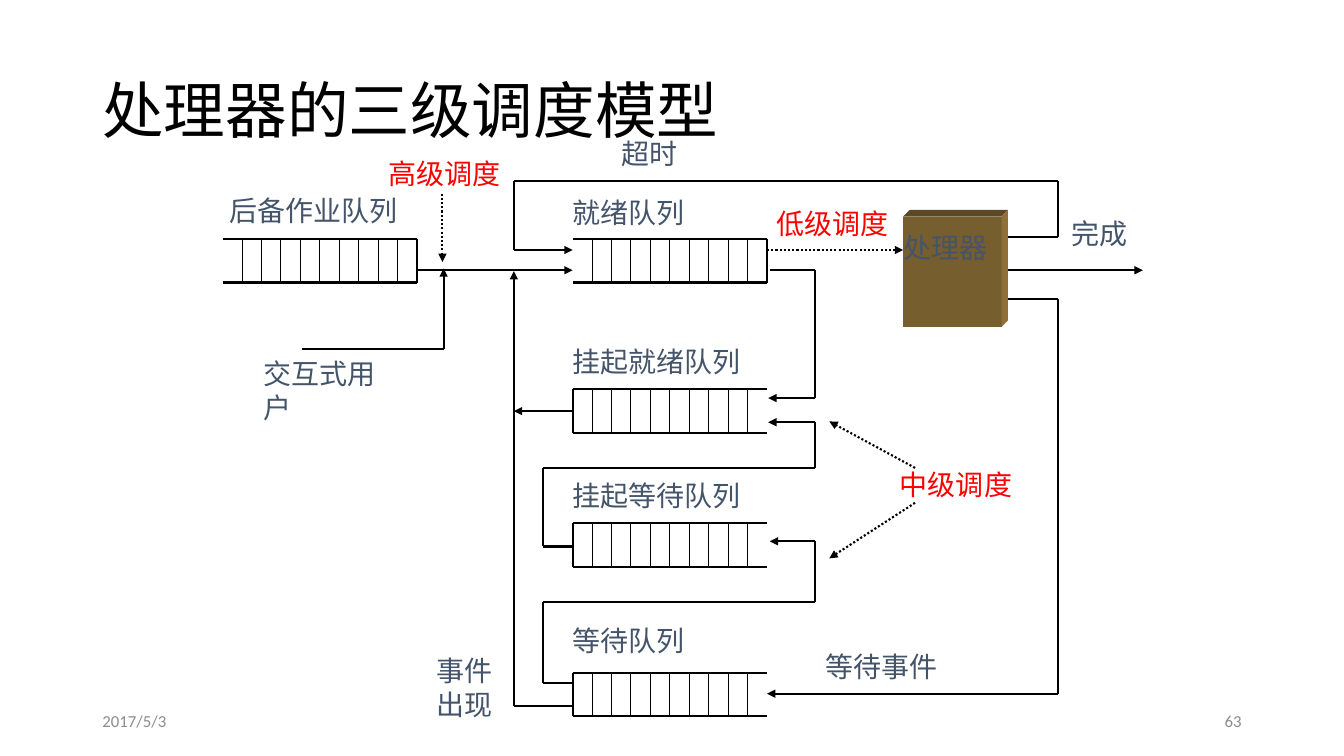
from dataclasses import dataclass
from itertools import pairwise

from lxml.etree import SubElement
from pptx import Presentation
from pptx.dml.color import RGBColor
from pptx.enum.dml import MSO_LINE_DASH_STYLE as Dash
from pptx.enum.shapes import MSO_CONNECTOR_TYPE as Connector
from pptx.enum.text import MSO_VERTICAL_ANCHOR as Anchor, PP_PARAGRAPH_ALIGNMENT as Align
from pptx.oxml.ns import qn
from pptx.slide import Slide
from pptx.util import Cm, Pt

BLACK = RGBColor(0x00, 0x00, 0x00)
RED = RGBColor(0xFF, 0x00, 0x00)
SLATE = RGBColor(0x44, 0x54, 0x6A)
GREY = RGBColor(0x8C, 0x8C, 0x8C)
FRONT_BROWN = RGBColor(0x77, 0x5E, 0x2F)
TOP_BROWN = RGBColor(0x5C, 0x48, 0x22)
SIDE_BROWN = RGBColor(0x8F, 0x70, 0x38)
CJK_FONT = "Noto Sans CJK JP"
LATIN_FONT = "Calibri"

CELL_WIDTH, CELL_COUNT, QUEUE_HEIGHT = 0.49, 10, 1.1
QUEUE_WIDTH = CELL_WIDTH * CELL_COUNT
QUEUE_LEFT, QUEUE_RIGHT = 14.43, 19.33
RETURN_X, LOOP_X, SUSPEND_X = 12.95, 13.69, 20.55
CPU_RIGHT, OUTER_X, MAIN_Y = 25.4, 26.67, 6.81

Point = tuple[float, float]


@dataclass(frozen=True)
class Label:
    lines: tuple[str, ...]
    left: float
    top: float
    width: float
    height: float = 1.1
    color: RGBColor = SLATE
    size: float = 20
    font: str = CJK_FONT
    inset: Point = (0, 0)
    anchor: Anchor = Anchor.TOP
    align: Align = Align.LEFT
    spacing: float = 1.0


@dataclass(frozen=True)
class Queue:
    left: float
    top: float
    closed_right: bool = False


@dataclass(frozen=True)
class Route:
    points: tuple[Point, ...]
    dotted: bool = False


@dataclass(frozen=True)
class Face:
    corners: tuple[Point, ...]
    color: RGBColor


QUEUES = (
    Queue(5.61, 6.02, closed_right=True),
    Queue(QUEUE_LEFT, 6.02, closed_right=True),
    Queue(QUEUE_LEFT, 9.8),
    Queue(QUEUE_LEFT, 13.18),
    Queue(QUEUE_LEFT, 16.95),
)

PROCESSOR_FACES = (
    Face(((22.76, 5.46), (25.24, 5.46), (25.24, 8.24), (22.76, 8.24)), FRONT_BROWN),
    Face(((22.76, 5.46), (22.93, 5.29), (25.4, 5.29), (25.24, 5.46)), TOP_BROWN),
    Face(((25.24, 5.46), (25.4, 5.29), (25.4, 8.08), (25.24, 8.24)), SIDE_BROWN),
)

ROUTES = (
    Route(((10.48, MAIN_Y), (QUEUE_LEFT, MAIN_Y))),
    Route(((7.6, 8.79), (11.18, 8.79), (11.18, 6.76))),
    Route(((CPU_RIGHT, 5.97), (OUTER_X, 5.97), (OUTER_X, 4.57),
           (RETURN_X, 4.57), (RETURN_X, 6.3), (QUEUE_LEFT, 6.3))),
    Route(((CPU_RIGHT, MAIN_Y), (28.8, MAIN_Y))),
    Route(((CPU_RIGHT, 7.54), (OUTER_X, 7.54), (OUTER_X, 17.48), (QUEUE_RIGHT, 17.48))),
    Route(((QUEUE_LEFT, 17.78), (RETURN_X, 17.78), (RETURN_X, 6.83))),
    Route(((QUEUE_LEFT, 10.36), (RETURN_X, 10.36))),
    Route(((19.4, MAIN_Y), (SUSPEND_X, MAIN_Y), (SUSPEND_X, 10.03), (19.36, 10.03))),
    Route(((QUEUE_LEFT, 13.77), (LOOP_X, 13.77), (LOOP_X, 11.79),
           (SUSPEND_X, 11.79), (SUSPEND_X, 10.64), (19.36, 10.64))),
    Route(((QUEUE_LEFT, 17.2), (LOOP_X, 17.2), (LOOP_X, 15.16),
           (SUSPEND_X, 15.16), (SUSPEND_X, 13.64), (19.4, 13.64))),
    Route(((QUEUE_RIGHT, 6.3), (22.76, 6.3)), dotted=True),
    Route(((11.15, 4.88), (11.15, 6.6)), dotted=True),
    Route(((23.06, 11.79), (20.9, 10.62)), dotted=True),
    Route(((23.06, 12.67), (20.9, 14.07)), dotted=True),
)

LABELS = (
    Label(("处理器的三级调度模型",), 2.33, 1.01, 29.21, 3.68, BLACK, 44, LATIN_FONT,
          (0.25, 0.13), Anchor.MIDDLE, spacing=0.9),
    Label(("2017/5/3",), 2.33, 17.66, 7.62, 1.01, GREY, 12, LATIN_FONT,
          (0.25, 0.13), Anchor.MIDDLE),
    Label(("63",), 23.92, 17.66, 7.62, 1.01, GREY, 12, LATIN_FONT,
          (0.25, 0.13), Anchor.MIDDLE, Align.RIGHT),
    Label(("后备作业队列",), 5.79, 4.88, 4.67),
    Label(("就绪队列",), QUEUE_LEFT, 4.93, QUEUE_WIDTH),
    Label(("挂起就绪队列",), QUEUE_LEFT, 8.69, QUEUE_WIDTH),
    Label(("挂起等待队列",), QUEUE_LEFT, 12.07, QUEUE_WIDTH),
    Label(("等待队列",), QUEUE_LEFT, 15.72, QUEUE_WIDTH),
    Label(("超时",), 15.67, 3.45, 8.23),
    Label(("完成",), 27, 5.46, 1.8),
    Label(("处理器",), 22.76, 5.82, 2.44),
    Label(("等待事件",), 20.8, 16.36, 4.42),
    Label(("交互式用户",), 6.65, 8.99, 3.43),
    Label(("事件", "出现"), 11, 16.48, 1.96, 2.21),
    Label(("高级调度",), 9.78, 3.94, 2.84, color=RED),
    Label(("中级调度",), 22.68, 11.79, 2.87, color=RED),
    Label(("低级调度",), 19.56, 5.21, 3, color=RED),
)


def draw_line(slide: Slide, start: Point, end: Point, weight: float = 1.5,
              dotted: bool = False, arrow: bool = False) -> None:
    ends = (Cm(value) for value in (*start, *end))
    connector = slide.shapes.add_connector(Connector.STRAIGHT, *ends)
    connector.line.color.rgb = BLACK
    connector.line.width = Pt(weight)
    if dotted:
        connector.line.dash_style = Dash.ROUND_DOT
    if arrow:
        SubElement(connector.line._get_or_add_ln(), qn("a:tailEnd"), type="triangle")
    SubElement(connector._element.spPr, qn("a:effectLst"))


def draw_queue(slide: Slide, queue: Queue) -> None:
    right, bottom = queue.left + QUEUE_WIDTH, queue.top + QUEUE_HEIGHT
    for y in (queue.top, bottom):
        draw_line(slide, (queue.left, y), (right, y))
    closed_x = right if queue.closed_right else queue.left
    draw_line(slide, (closed_x, queue.top), (closed_x, bottom))
    for cell in range(1, CELL_COUNT):
        x = queue.left + cell * CELL_WIDTH
        draw_line(slide, (x, queue.top), (x, bottom), weight=0.75)


def draw_route(slide: Slide, route: Route) -> None:
    for start, end in pairwise(route.points):
        draw_line(slide, start, end, dotted=route.dotted, arrow=end == route.points[-1])


def draw_face(slide: Slide, face: Face) -> None:
    first, *others = [(Cm(x), Cm(y)) for x, y in face.corners]
    outline = slide.shapes.build_freeform(*first)
    outline.add_line_segments(others, close=True)
    side = outline.convert_to_shape()
    side.shadow.inherit = False
    side.fill.solid()
    side.fill.fore_color.rgb = face.color
    side.line.fill.background()


def draw_label(slide: Slide, label: Label) -> None:
    area = (Cm(value) for value in (label.left, label.top, label.width, label.height))
    frame = slide.shapes.add_textbox(*area).text_frame
    frame.word_wrap = True
    frame.vertical_anchor = label.anchor
    frame.margin_left = frame.margin_right = Cm(label.inset[0])
    frame.margin_top = frame.margin_bottom = Cm(label.inset[1])
    for index, line in enumerate(label.lines):
        paragraph = frame.add_paragraph() if index else frame.paragraphs[0]
        paragraph.alignment = label.align
        paragraph.line_spacing = label.spacing
        run = paragraph.add_run()
        run.text = line
        run.font.size = Pt(label.size)
        run.font.name = label.font
        run.font.color.rgb = label.color
        SubElement(run.font._element, qn("a:ea"), typeface=CJK_FONT)


def main() -> None:
    """Build the three-level processor scheduling slide."""
    deck = Presentation()
    deck.slide_width, deck.slide_height = Cm(33.87), Cm(19.05)
    slide = deck.slides.add_slide(deck.slide_layouts[6])
    for queue in QUEUES:
        draw_queue(slide, queue)
    for face in PROCESSOR_FACES:
        draw_face(slide, face)
    for route in ROUTES:
        draw_route(slide, route)
    for label in LABELS:
        draw_label(slide, label)
    deck.save("out.pptx")


if __name__ == "__main__":
    main()
